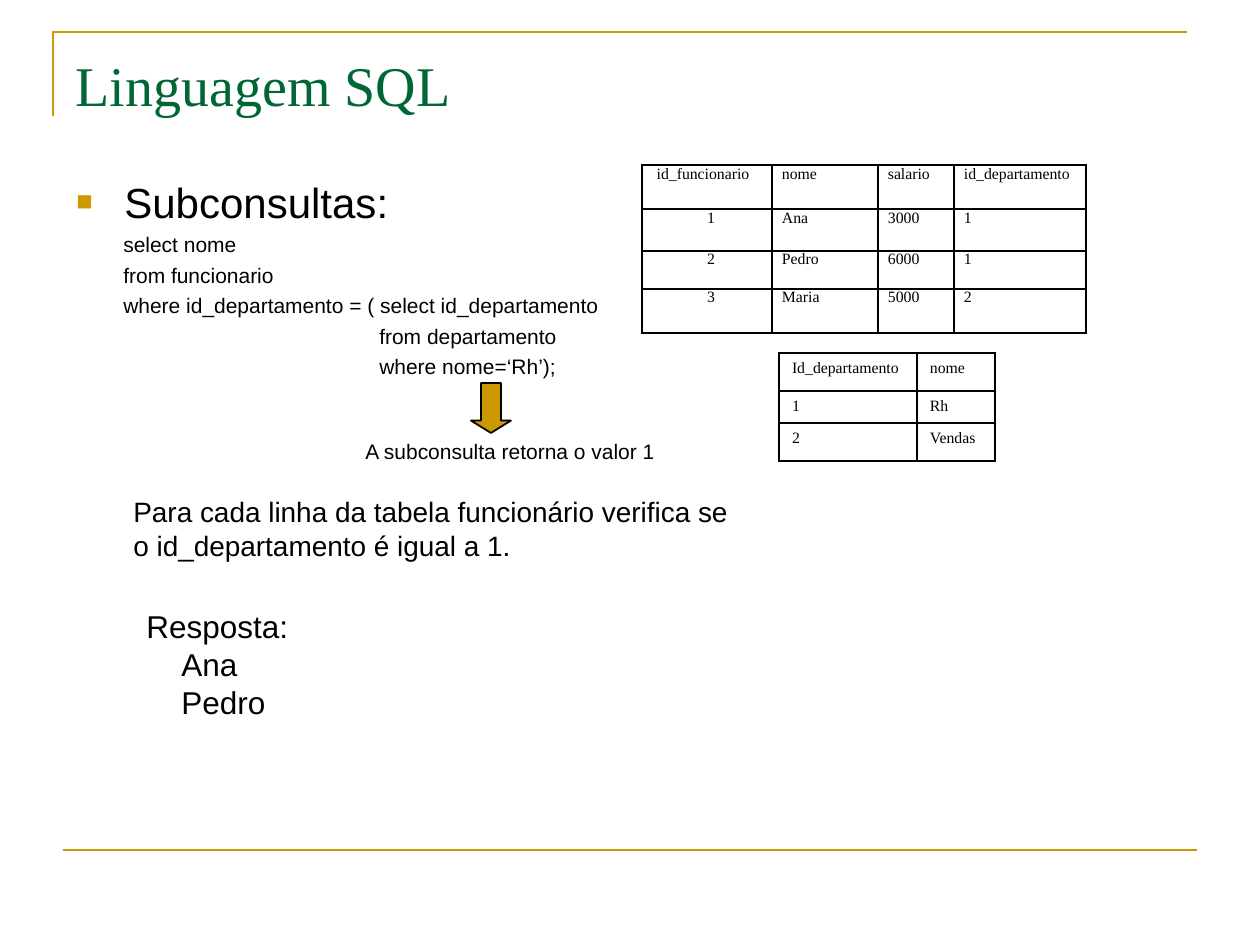
from dataclasses import dataclass
from typing import Optional

from lxml.etree import SubElement
from pptx import Presentation
from pptx.dml.color import RGBColor
from pptx.enum.shapes import MSO_CONNECTOR, MSO_SHAPE
from pptx.enum.text import MSO_ANCHOR, MSO_AUTO_SIZE as AutoSize, PP_ALIGN
from pptx.oxml.ns import qn
from pptx.util import Emu, Pt

PX_PER_INCH = 126
COLORS = {"gold": "CC9900", "green": "006633", "black": "000000"}
SANS, SERIF = "Arial", "Times New Roman"
CODE_INDENT = " " * 44


@dataclass(frozen=True)
class Line:
    text: str
    size: int
    before: int = 0
    margin: int = 0
    hanging: int = 0
    bullet: Optional[str] = None


@dataclass(frozen=True)
class TextBlock:
    box: tuple[int, int, int, int]
    lines: list[Line]
    wrap: bool = False
    inset_top: int = 6


@dataclass(frozen=True)
class Grid:
    left: int
    top: int
    columns: list[int]
    rows: list[int]
    cells: list[list[str]]
    insets: tuple[int, int, int, int]  # left, top, right, bottom
    centered_column: Optional[int] = None
    header_extra_right: int = 0


BLOCKS = [
    TextBlock((64, 165, 557, 624), [
        Line("Subconsultas:", 24, margin=48, hanging=48, bullet="■"),
        *(Line(text, 12, before=3, margin=47) for text in (
            "select nome",
            "from funcionario",
            "where id_departamento = ( select id_departamento",
            CODE_INDENT + "from departamento",
            CODE_INDENT + "where nome=‘Rh’);",
        )),
    ], wrap=True, inset_top=11),
    TextBlock((353, 433, 315, 38), [Line("A subconsulta retorna o valor 1", 12)]),
    TextBlock((121, 489, 629, 81), [
        Line("Para cada linha da tabela funcionário verifica se", 16),
        Line("o id_departamento é igual a 1.", 16),
    ]),
    TextBlock((134, 601, 169, 126), [
        Line("Resposta:", 18),
        Line("Ana", 18, margin=35),
        Line("Pedro", 18, margin=35),
    ]),
]

GRIDS = [
    Grid(642, 165, [130, 106, 76, 132], [44, 42, 38, 44], [
        ["id_funcionario", "nome", "salario", "id_departamento"],
        ["1", "Ana", "3000", "1"],
        ["2", "Pedro", "6000", "1"],
        ["3", "Maria", "5000", "2"],
    ], (10, 0, 2, 0), centered_column=0, header_extra_right=16),
    Grid(779, 353, [138, 78], [38, 32, 38], [
        ["Id_departamento", "nome"],
        ["1", "Rh"],
        ["2", "Vendas"],
    ], (13, 6, 13, 6)),
]


def px(value: int) -> Emu:
    return Emu(round(value * 914400 / PX_PER_INCH))


def rgb(name: str) -> RGBColor:
    return RGBColor.from_string(COLORS[name])


def set_font(paragraph, name: str, size: int, color: str = "black") -> None:
    for attribute, value in {"name": name, "size": Pt(size), "bold": False}.items():
        setattr(paragraph.font, attribute, value)
    paragraph.font.color.rgb = rgb(color)


def set_line(shape, color: str, width: float) -> None:
    shape.line.color.rgb = rgb(color)
    shape.line.width = Pt(width)


def set_indent(paragraph, line: Line) -> None:
    """Set the left margin, hanging indent and optional bullet."""
    properties = paragraph._p.get_or_add_pPr()
    properties.set("marL", str(px(line.margin)))
    properties.set("indent", str(-px(line.hanging)))
    if line.bullet:
        color = SubElement(properties, qn("a:buClr"))
        SubElement(color, qn("a:srgbClr"), val=COLORS["gold"])
        SubElement(properties, qn("a:buSzPct"), val="65000")
        SubElement(properties, qn("a:buFont"), typeface=SANS)
        SubElement(properties, qn("a:buChar"), char=line.bullet)


def add_text(slide, block: TextBlock) -> None:
    frame = slide.shapes.add_textbox(*map(px, block.box)).text_frame
    frame.word_wrap = block.wrap
    frame.auto_size = AutoSize.NONE if block.wrap else AutoSize.SHAPE_TO_FIT_TEXT
    frame.margin_top = px(block.inset_top)
    for index, line in enumerate(block.lines):
        paragraph = frame.add_paragraph() if index else frame.paragraphs[0]
        paragraph.text = line.text
        paragraph.space_before = Pt(line.before)
        set_indent(paragraph, line)
        set_font(paragraph, SANS, line.size)


def set_borders(cell) -> None:
    properties = cell._tc.get_or_add_tcPr()
    for position, side in enumerate(("lnL", "lnR", "lnT", "lnB")):
        border = SubElement(properties, qn(f"a:{side}"), w=str(Pt(1)))
        fill = SubElement(border, qn("a:solidFill"))
        SubElement(fill, qn("a:srgbClr"), val=COLORS["black"])
        properties.insert(position, border)


def add_grid(slide, grid: Grid) -> None:
    table = slide.shapes.add_table(
        len(grid.rows), len(grid.columns), px(grid.left), px(grid.top),
        px(sum(grid.columns)), px(sum(grid.rows))).table
    table.first_row = table.horz_banding = False
    for column, width in zip(table.columns, grid.columns):
        column.width = px(width)
    for row, height in zip(table.rows, grid.rows):
        row.height = px(height)
    for row_index, texts in enumerate(grid.cells):
        for column_index, text in enumerate(texts):
            cell = table.cell(row_index, column_index)
            cell.text = text
            cell.fill.background()
            sides = ("left", "top", "right", "bottom")
            for side, inset in zip(sides, grid.insets):
                setattr(cell, f"margin_{side}", px(inset))
            paragraph = cell.text_frame.paragraphs[0]
            if column_index == grid.centered_column:
                paragraph.alignment = PP_ALIGN.CENTER
                if row_index == 0:
                    cell.margin_right = px(grid.insets[2] + grid.header_extra_right)
            set_font(paragraph, SERIF, 9)
            set_borders(cell)


def add_frame(slide) -> None:
    """Draw the corner rule around the title and the rule at the foot."""
    builder = slide.shapes.build_freeform(px(53), px(116))
    builder.add_line_segments([(px(53), px(32)), (px(1187), px(32))], close=False)
    corner = builder.convert_to_shape()
    corner.shadow.inherit = False
    corner.fill.background()
    foot = slide.shapes.add_connector(
        MSO_CONNECTOR.STRAIGHT, px(63), px(850), px(1197), px(850))
    SubElement(foot._element.spPr, qn("a:effectLst"))
    for rule in (corner, foot):
        set_line(rule, "gold", 1.5)


def format_title(title) -> None:
    title.left, title.top, title.width, title.height = map(px, (63, 36, 1134, 97))
    title.text_frame.text = "Linguagem SQL"
    title.text_frame.vertical_anchor = MSO_ANCHOR.MIDDLE
    paragraph = title.text_frame.paragraphs[0]
    paragraph.alignment = PP_ALIGN.LEFT
    set_font(paragraph, SERIF, 32, "green")


def add_down_arrow(slide) -> None:
    arrow = slide.shapes.add_shape(
        MSO_SHAPE.DOWN_ARROW, *map(px, (471, 383, 40, 50)))
    arrow.adjustments[0], arrow.adjustments[1] = 0.5, 0.31
    arrow.shadow.inherit = False
    arrow.fill.solid()
    arrow.fill.fore_color.rgb = rgb("gold")
    set_line(arrow, "black", 1)


def main() -> None:
    presentation = Presentation()
    presentation.slide_width, presentation.slide_height = px(1260), px(945)
    slide = presentation.slides.add_slide(presentation.slide_layouts[5])
    add_frame(slide)
    format_title(slide.shapes.title)
    for grid in GRIDS:
        add_grid(slide, grid)
    add_down_arrow(slide)
    for block in BLOCKS:
        add_text(slide, block)
    presentation.save("out.pptx")


if __name__ == "__main__":
    main()
